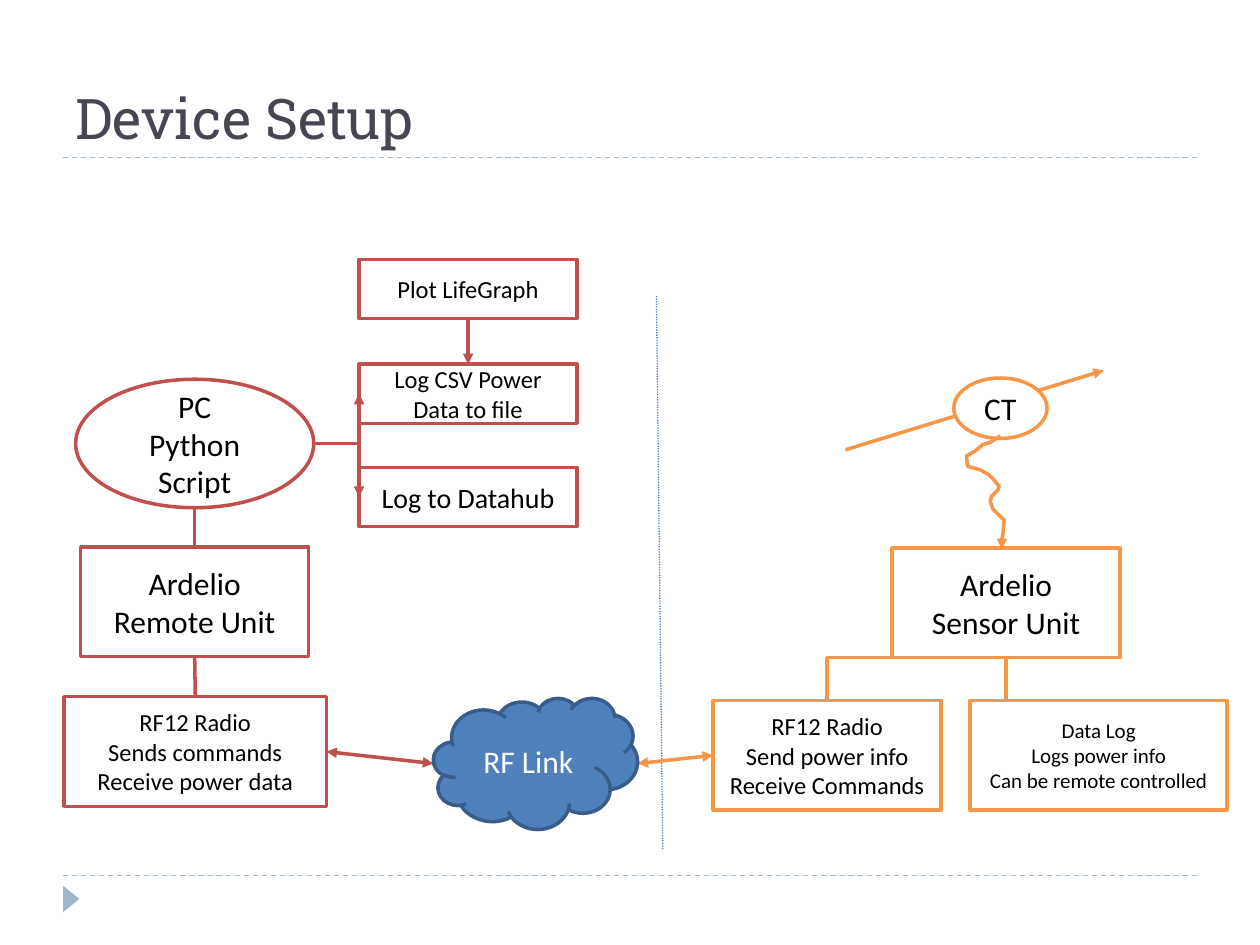
from dataclasses import dataclass
from typing import NamedTuple, Optional

from lxml.etree import SubElement
from pptx import Presentation
from pptx.dml.color import RGBColor
from pptx.enum.dml import MSO_LINE
from pptx.enum.shapes import MSO_CONNECTOR, MSO_SHAPE
from pptx.enum.text import MSO_ANCHOR, PP_ALIGN
from pptx.oxml.ns import qn
from pptx.util import Emu, Inches, Pt

SLIDE_W, SLIDE_H = Inches(10), Inches(7.5)
COLUMNS, ROWS = 10, 7.5


@dataclass(frozen=True)
class Theme:
    remote: str = "C0504D"
    sensor: str = "F79646"
    cloud: str = "4F81BD"
    cloud_edge: str = "385D8A"
    divider: str = "4A7EBB"
    rule: str = "9FB8CD"
    title: str = "464653"
    ink: str = "000000"
    paper: str = "FFFFFF"
    title_font: str = "Roboto Slab"
    body_font: str = "Calibri"
    title_size: float = 32
    large: float = 18
    medium: float = 16
    small: float = 14
    tiny: float = 12
    stroke: float = 2
    hairline: float = 0.75


THEME = Theme()


class Point(NamedTuple):
    col: float
    row: float


@dataclass(frozen=True)
class Node:
    """A labelled shape, placed in columns and rows."""
    lines: tuple[str, ...]
    col: float
    row: float
    width: float
    height: float
    edge: str
    size: float = THEME.large
    outline: MSO_SHAPE = MSO_SHAPE.RECTANGLE
    fill: str = THEME.paper
    ink: str = THEME.ink

    def at(self, across: float, down: float) -> Point:
        """Point at a share of the node's width and height."""
        return Point(self.col + across * self.width, self.row + down * self.height)

    @property
    def top(self) -> Point:
        return self.at(0.5, 0)

    @property
    def bottom(self) -> Point:
        return self.at(0.5, 1)

    @property
    def left(self) -> Point:
        return self.at(0, 0.5)

    @property
    def right(self) -> Point:
        return self.at(1, 0.5)


@dataclass(frozen=True)
class Link:
    start: Point
    end: Point
    color: str
    head: bool = False
    tail: bool = False
    bent: bool = False
    weight: float = THEME.stroke
    dash: Optional[MSO_LINE] = None


def x(col: float) -> Emu:
    return Emu(round(SLIDE_W * col / COLUMNS))


def y(row: float) -> Emu:
    return Emu(round(SLIDE_H * row / ROWS))


def add_arrowheads(line, head: bool, tail: bool) -> None:
    ln = line._get_or_add_ln()
    for tag, wanted in (("a:headEnd", head), ("a:tailEnd", tail)):
        if wanted:
            SubElement(ln, qn(tag)).set("type", "triangle")


def style_line(line, color: str, weight: float) -> None:
    line.color.rgb = RGBColor.from_string(color)
    line.width = Pt(weight)


def draw_node(slide, node: Node) -> None:
    shape = slide.shapes.add_shape(
        node.outline, x(node.col), y(node.row), x(node.width), y(node.height))
    shape.shadow.inherit = False
    shape.fill.solid()
    shape.fill.fore_color.rgb = RGBColor.from_string(node.fill)
    style_line(shape.line, node.edge, THEME.stroke)
    frame = shape.text_frame
    frame.word_wrap = True
    frame.vertical_anchor = MSO_ANCHOR.MIDDLE
    for index, text in enumerate(node.lines):
        paragraph = frame.add_paragraph() if index else frame.paragraphs[0]
        paragraph.alignment = PP_ALIGN.CENTER
        run = paragraph.add_run()
        run.text = text
        run.font.name = THEME.body_font
        run.font.size = Pt(node.size)
        run.font.color.rgb = RGBColor.from_string(node.ink)


def draw_link(slide, link: Link) -> None:
    kind = MSO_CONNECTOR.ELBOW if link.bent else MSO_CONNECTOR.STRAIGHT
    connector = slide.shapes.add_connector(
        kind, x(link.start.col), y(link.start.row), x(link.end.col), y(link.end.row))
    properties = connector._element.spPr
    if link.bent:  # a single corner: across, then up or down
        properties.find(qn("a:prstGeom")).set("prst", "bentConnector2")
    style_line(connector.line, link.color, link.weight)
    if link.dash:
        connector.line.dash_style = link.dash
    add_arrowheads(connector.line, link.head, link.tail)
    SubElement(properties, qn("a:effectLst"))


def draw_cable(slide, points: list[Point], color: str) -> None:
    first, *rest = [(x(p.col), y(p.row)) for p in points]
    builder = slide.shapes.build_freeform(*first)
    builder.add_line_segments(rest, close=False)
    cable = builder.convert_to_shape()
    cable.shadow.inherit = False
    cable.fill.background()
    style_line(cable.line, color, THEME.stroke)
    add_arrowheads(cable.line, False, True)


def draw_frame(slide) -> None:
    # Dashed rules and corner marker
    for row in (6.95, 1.25):
        draw_link(slide, Link(Point(0.5, row), Point(9.5, row), THEME.rule,
                              weight=THEME.hairline, dash=MSO_LINE.DASH))
    marker = slide.shapes.add_shape(
        MSO_SHAPE.ISOSCELES_TRIANGLE, x(0.46), y(7.07), x(0.21), y(0.13))
    marker.rotation = 90
    marker.shadow.inherit = False
    marker.fill.solid()
    marker.fill.fore_color.rgb = RGBColor.from_string(THEME.rule)
    marker.line.fill.background()

    # Title
    title = slide.shapes.title
    title.left, title.top, title.width, title.height = x(0.5), y(0.17), x(9), y(1.08)
    title.text_frame.vertical_anchor = MSO_ANCHOR.BOTTOM
    heading = title.text_frame.paragraphs[0]
    heading.alignment = PP_ALIGN.LEFT
    run = heading.add_run()
    run.text = "Device Setup"
    run.font.name = THEME.title_font
    run.font.size = Pt(THEME.title_size)
    run.font.color.rgb = RGBColor.from_string(THEME.title)


def draw_diagram(slide) -> None:
    red, orange = THEME.remote, THEME.sensor
    unit_w, unit_h = 1.81, 0.87
    log_col, log_w, log_h = 2.85, 1.73, 0.47

    # Remote side
    script = Node(("PC", "Python Script"), 0.6, 3.01, 1.89, 1.02, red,
                  outline=MSO_SHAPE.OVAL)
    remote = Node(("Ardelio", "Remote Unit"), 0.64, 4.34, unit_w, unit_h, red)
    remote_radio = Node(("RF12 Radio", "Sends commands", "Receive power data"),
                        0.51, 5.53, 2.08, unit_h, red, THEME.small)
    plot = Node(("Plot LifeGraph",), log_col, 2.06, log_w, log_h, red, THEME.small)
    csv_log = Node(("Log CSV Power Data to file",), log_col, 2.89, log_w, log_h,
                   red, THEME.small)
    web_log = Node(("Log to Datahub",), log_col, 3.71, log_w, log_h, red, THEME.medium)

    # Sensor side
    sensor = Node(("Ardelio", "Sensor Unit"), 7.08, 4.35, unit_w, unit_h, orange)
    sensor_radio = Node(("RF12 Radio", "Send power info", "Receive Commands"),
                        5.66, 5.56, unit_w, unit_h, orange, THEME.small)
    logger = Node(("Data Log", "Logs power info", "Can be remote controlled"),
                  7.7, 5.56, 2.04, unit_h, orange, THEME.tiny)
    clamp = Node(("CT",), 7.57, 3, 0.74, 0.48, orange, outline=MSO_SHAPE.OVAL)

    # Radio link between the two sides
    radio_link = Node(("RF Link",), 3.44, 5.54, 1.62, 1.04, THEME.cloud_edge,
                      outline=MSO_SHAPE.CLOUD, fill=THEME.cloud, ink=THEME.paper)

    links = [
        Link(script.right, csv_log.left, red, tail=True, bent=True),
        Link(script.right, web_log.left, red, tail=True, bent=True),
        Link(remote_radio.top, remote.bottom, red),
        Link(remote.top, script.bottom, red),
        Link(plot.bottom, csv_log.top, red, tail=True),
        Link(sensor.bottom, sensor_radio.top, orange, bent=True),
        Link(logger.top, sensor.bottom, orange, bent=True),
        Link(Point(6.71, 3.57), Point(8.76, 2.94), orange, tail=True),
        Link(Point(5.26, 6.74), Point(5.21, 2.35), THEME.divider,
             weight=THEME.hairline, dash=MSO_LINE.ROUND_DOT),
        Link(remote_radio.right, radio_link.left, red, head=True, tail=True),
        Link(sensor_radio.left, radio_link.right, orange, head=True, tail=True),
    ]
    for node in (script, remote, remote_radio, plot, csv_log, web_log,
                 sensor, sensor_radio, logger):
        draw_node(slide, node)
    for link in links:
        draw_link(slide, link)
    for node in (clamp, radio_link):
        draw_node(slide, node)

    # Loose cable from the clamp to the sensor unit
    bends = [(7.94, 3.46), (7.86, 3.51), (7.8, 3.53), (7.74, 3.58), (7.67, 3.62),
             (7.68, 3.7), (7.71, 3.71), (7.78, 3.73), (7.85, 3.77), (7.88, 3.8),
             (7.93, 3.86), (7.92, 3.89), (7.87, 3.94), (7.86, 3.98), (7.88, 4.04),
             (7.94, 4.1), (7.97, 4.13), (7.96, 4.24), (7.95, 4.29), (7.95, 4.36)]
    draw_cable(slide, [Point(*bend) for bend in bends], orange)


def main() -> None:
    deck = Presentation()
    deck.slide_width, deck.slide_height = SLIDE_W, SLIDE_H
    slide = deck.slides.add_slide(deck.slide_layouts.get_by_name("Title Only"))
    draw_frame(slide)
    draw_diagram(slide)
    deck.save("out.pptx")


if __name__ == "__main__":
    main()
